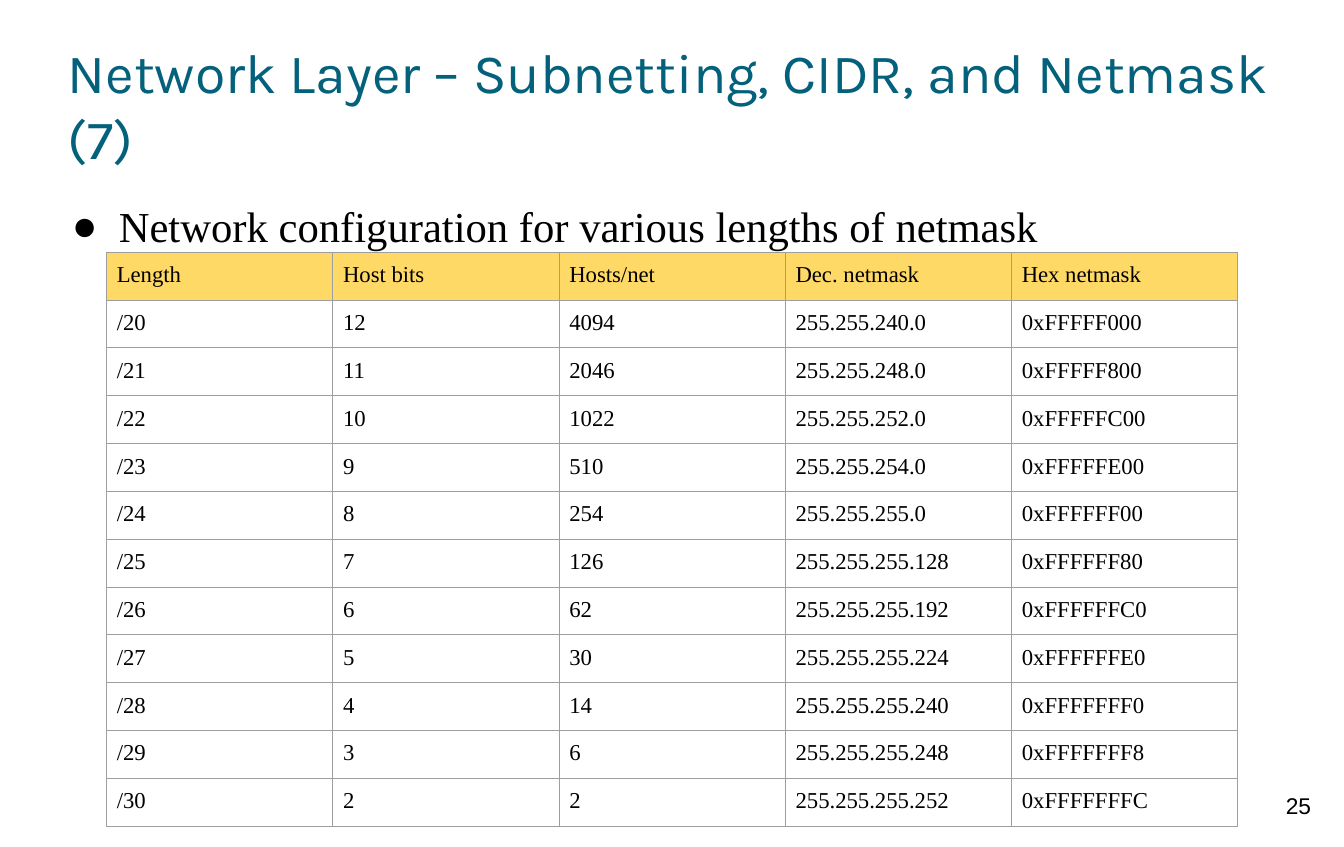
"""Build the slide on netmask lengths, with a heading, a bullet and a table."""
from dataclasses import dataclass

from lxml.etree import SubElement
from pptx import Presentation
from pptx.dml.color import RGBColor
from pptx.enum.text import MSO_ANCHOR, PP_ALIGN
from pptx.oxml.ns import qn
from pptx.slide import Slide
from pptx.table import _Cell
from pptx.text.text import _Paragraph
from pptx.util import Pt

COLORS = {"title": "04617B", "text": "000000", "head": "FFD966", "grid": "9E9E9E"}
SERIF = "Times New Roman"
HEAD = ("Length", "Host bits", "Hosts/net", "Dec. netmask", "Hex netmask")
LENGTHS = range(20, 31)
COL, ROW = 159.05, 33.18
PAD = 7.2


@dataclass(frozen=True)
class Label:
    text: str
    left: float
    top: float
    width: float
    height: float
    size: float
    font: str
    color: str = "text"
    pad: float = 0
    align: PP_ALIGN = PP_ALIGN.LEFT
    anchor: MSO_ANCHOR = MSO_ANCHOR.TOP
    bullet: str = ""


LABELS = (
    Label("25", 884.16, 549.36, 56.88, 45.36, 16, "Arial", pad=PAD,
          align=PP_ALIGN.CENTER),
    Label("Network Layer – Subnetting, CIDR, and Netmask (7)",
          47.52, 23.76, 850.32, 99.36, 39, "Karla", "title",
          anchor=MSO_ANCHOR.MIDDLE),
    Label("Network configuration for various lengths of netmask",
          47.52, 135.36, 852.48, 445.68, 30, SERIF, bullet="●"),
)


def style(para: _Paragraph, size: float, name: str, color: str) -> None:
    para.font.size = Pt(size)
    para.font.name = name
    para.font.color.rgb = RGBColor.from_string(COLORS[color])


def mark(para: _Paragraph, sign: str) -> None:
    para.line_spacing = 1.15
    props = para._p.get_or_add_pPr()
    props.set("marL", str(Pt(36)))
    props.set("indent", str(Pt(-33)))
    tint = SubElement(props, qn("a:buClr"))
    SubElement(tint, qn("a:srgbClr"), val=COLORS["text"])
    SubElement(props, qn("a:buFont"), typeface=SERIF)
    SubElement(props, qn("a:buChar"), char=sign)


def write(slide: Slide, label: Label) -> None:
    box = slide.shapes.add_textbox(
        Pt(label.left), Pt(label.top), Pt(label.width), Pt(label.height))
    frame = box.text_frame
    frame.word_wrap = True
    frame.vertical_anchor = label.anchor
    frame.margin_left = frame.margin_right = Pt(label.pad)
    frame.margin_top = frame.margin_bottom = Pt(label.pad)
    para = frame.paragraphs[0]
    para.text = label.text
    para.alignment = label.align
    if label.bullet:
        mark(para, label.bullet)
    style(para, label.size, label.font, label.color)


def mask_row(length: int) -> tuple[str, ...]:
    bits = 32 - length
    mask = 2**32 - 2**bits
    dotted = ".".join(str(byte) for byte in mask.to_bytes(4, "big"))
    return f"/{length}", str(bits), str(2**bits - 2), dotted, f"0x{mask:08X}"


def border(cell: _Cell) -> None:
    props = cell._tc.get_or_add_tcPr()
    for side in ("lnL", "lnR", "lnT", "lnB"):
        line = SubElement(props, qn(f"a:{side}"), w=str(Pt(0.75)))
        fill = SubElement(line, qn("a:solidFill"))
        SubElement(fill, qn("a:srgbClr"), val=COLORS["grid"])


def fill_cell(cell: _Cell, text: str, head: bool) -> None:
    cell.margin_left = cell.margin_right = Pt(PAD)
    cell.margin_top = cell.margin_bottom = Pt(PAD)
    border(cell)
    if head:
        cell.fill.solid()
        cell.fill.fore_color.rgb = RGBColor.from_string(COLORS["head"])
    else:
        cell.fill.background()
    para = cell.text_frame.paragraphs[0]
    para.text = text
    style(para, 16, SERIF, "text")


def add_masks(slide: Slide) -> None:
    rows = [HEAD, *map(mask_row, LENGTHS)]
    table = slide.shapes.add_table(
        len(rows), len(HEAD), Pt(74.88), Pt(177.3),
        Pt(COL * len(HEAD)), Pt(ROW * len(rows))).table
    table.first_row = table.horz_banding = False
    for col in table.columns:
        col.width = Pt(COL)
    for y, row in enumerate(rows):
        table.rows[y].height = Pt(ROW)
        for x, text in enumerate(row):
            fill_cell(table.cell(y, x), text, y == 0)


def main() -> None:
    deck = Presentation()
    deck.slide_width, deck.slide_height = Pt(944.64), Pt(595.44)
    slide = deck.slides.add_slide(deck.slide_layouts[6])
    for label in LABELS:
        write(slide, label)
    add_masks(slide)
    deck.save("out.pptx")


if __name__ == "__main__":
    main()
